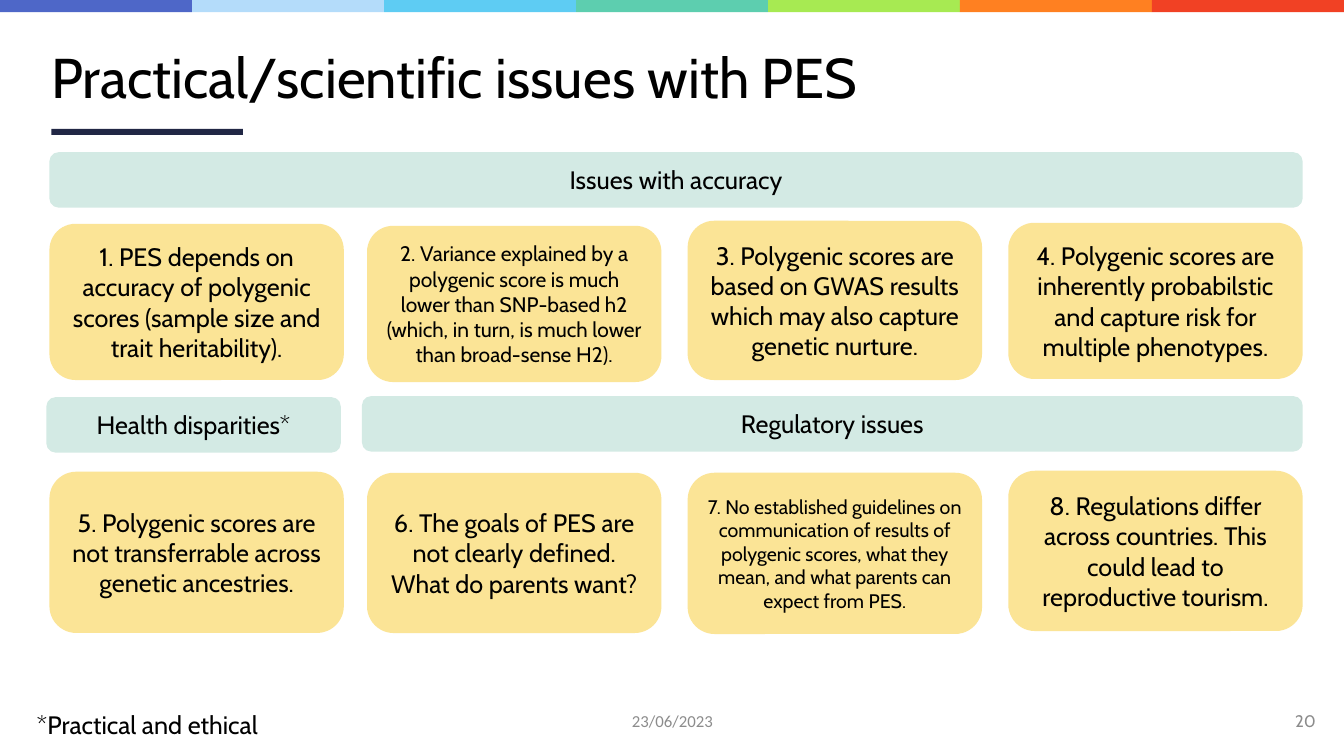
"""Build the slide on practical and scientific issues with PES."""
from dataclasses import dataclass

from pptx import Presentation
from pptx.dml.color import RGBColor
from pptx.enum.shapes import MSO_SHAPE
from pptx.enum.text import MSO_ANCHOR, PP_ALIGN
from pptx.shapes.autoshape import Shape
from pptx.slide import Slide
from pptx.util import Inches, Pt

SLIDE_WIDTH = 13.33
STRIPE_COLORS = ["4E67C8", "B4DCFA", "5ECCF3", "5DCEAF", "A7EA52", "FF8021", "F14124"]
NAVY, BLACK, GRAY = "212745", "000000", "8C8C8C"
YELLOW, MINT = "FBE496", "D3EAE4"
COLUMNS = [0.49, 3.64, 6.82, 10]
COLUMN_WIDTH = 2.92
HEADING_HEIGHT = 0.55


@dataclass
class Box:
    left: float
    top: float
    width: float
    height: float


@dataclass
class Label:
    text: str
    box: Box
    size: float = 18
    color: str = BLACK
    font: str = "Cabin"
    align: PP_ALIGN = PP_ALIGN.CENTER
    line_spacing: float = 1.0


@dataclass
class Card:
    column: int
    top: float
    height: float
    text: str
    size: float = 18


CARDS = [
    Card(0, 2.22, 1.55, "1. PES depends on accuracy of polygenic scores (sample size and trait heritability)."),
    Card(1, 2.24, 1.55, "2. Variance explained by a polygenic score is much lower than SNP-based h2 "
                        "(which, in turn, is much lower than broad-sense H2).", 15),
    Card(2, 2.19, 1.58, "3. Polygenic scores are based on GWAS results which may also capture genetic nurture."),
    Card(3, 2.21, 1.55, "4. Polygenic scores are inherently probabilstic and capture risk for multiple phenotypes."),
    Card(0, 4.68, 1.6, "5. Polygenic scores are not transferrable across genetic ancestries."),
    Card(1, 4.69, 1.59, "6. The goals of PES are not clearly defined. What do parents want?"),
    Card(2, 4.69, 1.6, "7. No established guidelines on communication of results of polygenic scores, "
                       "what they mean, and what parents can expect from PES.", 14),
    Card(3, 4.67, 1.59, "8. Regulations differ across countries. This could lead to reproductive tourism."),
]

HEADINGS = [
    Label("Issues with accuracy", Box(0.49, 1.51, 12.43, HEADING_HEIGHT)),
    Label("Health disparities*", Box(0.46, 3.94, COLUMN_WIDTH, HEADING_HEIGHT)),
    Label("Regulatory issues", Box(3.59, 3.93, 9.33, HEADING_HEIGHT)),
]

TEXTS = [
    Label("Practical/scientific issues with PES", Box(0.41, 0.42, 12.51, 0.76), 40,
          align=PP_ALIGN.LEFT, line_spacing=0.9),
    Label("20", Box(12.7, 6.95, 0.45, 0.4), 12, GRAY, align=PP_ALIGN.RIGHT),
    Label("23/06/2023", Box(5.17, 6.95, 3, 0.4), 12, GRAY, "Calibri"),
    Label("*Practical and ethical", Box(0, 6.91, COLUMN_WIDTH, HEADING_HEIGHT)),
]


def rgb(color: str) -> RGBColor:
    """Turn a hex string into a colour."""
    return RGBColor.from_string(color)


def place(box: Box) -> list[int]:
    """Give the position and size of a box as lengths."""
    return [Inches(value) for value in (box.left, box.top, box.width, box.height)]


def add_block(slide: Slide, kind: MSO_SHAPE, box: Box, color: str) -> Shape:
    """Draw a filled shape without outline or shadow."""
    shape = slide.shapes.add_shape(kind, *place(box))
    shape.shadow.inherit = False
    shape.fill.solid()
    shape.fill.fore_color.rgb = rgb(color)
    shape.line.fill.background()
    return shape


def write(shape: Shape, label: Label) -> None:
    """Write a label into a shape."""
    frame = shape.text_frame
    frame.word_wrap = True
    frame.vertical_anchor = MSO_ANCHOR.MIDDLE
    paragraph = frame.paragraphs[0]
    paragraph.text = label.text
    paragraph.alignment = label.align
    paragraph.line_spacing = label.line_spacing
    paragraph.font.name = label.font
    paragraph.font.size = Pt(label.size)
    paragraph.font.color.rgb = rgb(label.color)


def add_panel(slide: Slide, label: Label, color: str) -> None:
    """Draw a rounded panel holding a label."""
    write(add_block(slide, MSO_SHAPE.ROUNDED_RECTANGLE, label.box, color), label)


def main() -> None:
    """Build and save the presentation."""
    presentation = Presentation()
    presentation.slide_width = Inches(SLIDE_WIDTH)
    presentation.slide_height = Inches(7.5)
    slide = presentation.slides.add_slide(presentation.slide_layouts[6])

    stripe_width = SLIDE_WIDTH / len(STRIPE_COLORS)
    for index, color in enumerate(STRIPE_COLORS):
        add_block(slide, MSO_SHAPE.RECTANGLE, Box(index * stripe_width, 0, stripe_width, 0.12), color)
    add_block(slide, MSO_SHAPE.RECTANGLE, Box(0.51, 1.28, 1.9, 0.06), NAVY)

    for label in TEXTS:
        write(slide.shapes.add_textbox(*place(label.box)), label)
    for card in CARDS:
        box = Box(COLUMNS[card.column], card.top, COLUMN_WIDTH, card.height)
        add_panel(slide, Label(card.text, box, card.size), YELLOW)
    for heading in HEADINGS:
        add_panel(slide, heading, MINT)

    presentation.save("out.pptx")


if __name__ == "__main__":
    main()
